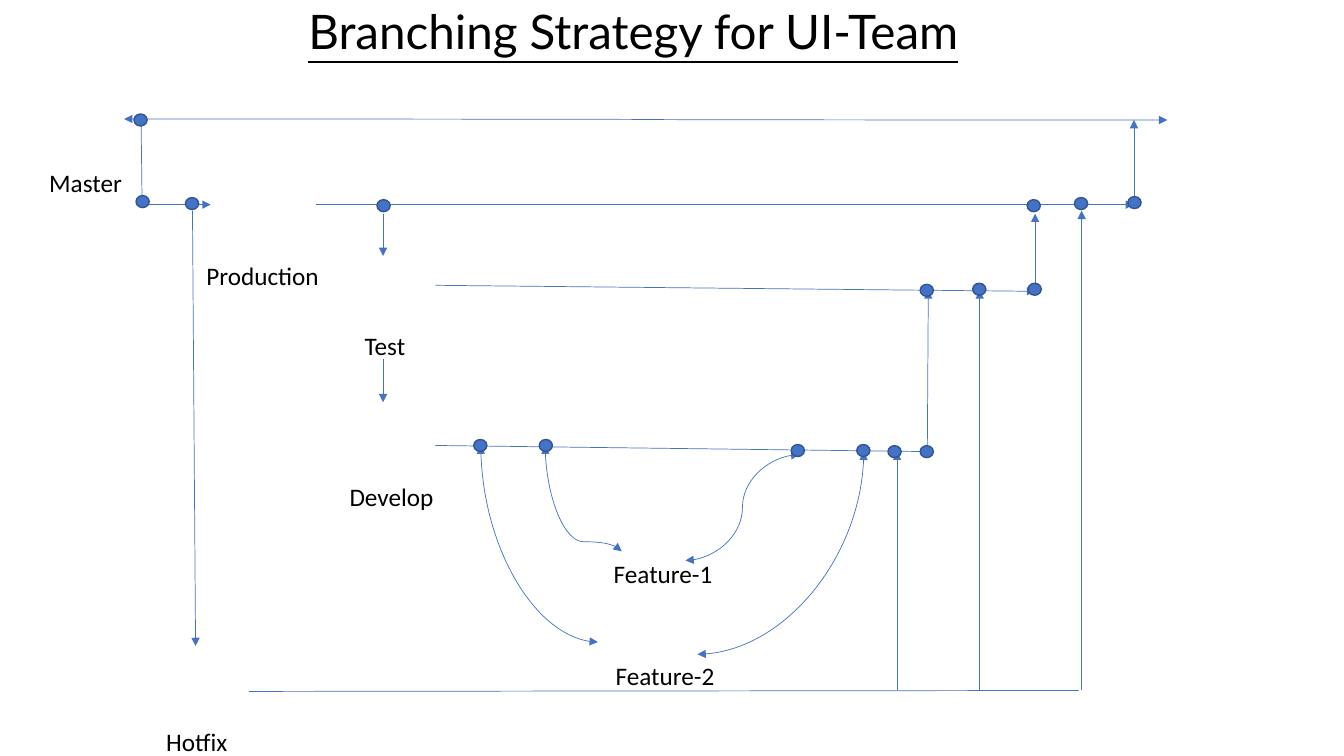
"""Draw the branching strategy of the UI team as a Git flow diagram."""
from dataclasses import dataclass
from math import cos, radians, sin

from lxml import etree
from pptx import Presentation
from pptx.dml.color import RGBColor
from pptx.enum.shapes import MSO_CONNECTOR, MSO_SHAPE
from pptx.enum.text import MSO_ANCHOR, MSO_AUTO_SIZE, PP_ALIGN
from pptx.oxml.ns import qn
from pptx.util import Pt

STRAIGHT, CURVE = MSO_CONNECTOR.STRAIGHT, MSO_CONNECTOR.CURVE
OVAL = MSO_SHAPE.OVAL
TOP, LEFT = MSO_ANCHOR.TOP, PP_ALIGN.LEFT
FIXED, GROW = MSO_AUTO_SIZE.NONE, MSO_AUTO_SIZE.SHAPE_TO_FIT_TEXT
TITLE_ONLY = 5


@dataclass(frozen=True)
class Theme:
    """Colours, fonts and sizes of the slide."""
    flow: RGBColor = RGBColor(0x44, 0x72, 0xC4)
    commit_edge: RGBColor = RGBColor(0x32, 0x54, 0x91)
    ink: RGBColor = RGBColor(0, 0, 0)
    title_font: str = "Lato"
    label_font: str = "Calibri"
    title_size: int = 34
    label_size: int = 18
    flow_width: float = 0.5
    edge_width: float = 1
    commit_width: float = 9.4
    commit_height: float = 8.6


THEME = Theme()
TITLE_FORMAT = {"name": THEME.title_font, "size": Pt(THEME.title_size),
                "underline": True, "bold": False}
LABEL_FORMAT = {"name": THEME.label_font, "size": Pt(THEME.label_size)}

LABELS = [
    ("Master", 28.1, 115.9, 67),
    ("Production", 140.4, 182.2, 95.8),
    ("Test", 253.4, 232.6, 43.9),
    ("Develop", 242.6, 340.6, 74.9),
    ("Feature-1", 431.3, 395.3, 85.7),
    ("Feature-2", 432.7, 468, 85.7),
    ("Hotfix", 111.6, 515.5, 59),
]
LABEL_HEIGHT = 28.8

BRANCHES = [
    ((101.5, 146.2), (150.5, 146.2)),
    ((225.4, 146.2), (810, 146.2)),
    ((311, 203.8), (739.4, 208.1)),
    ((311, 318.2), (664.6, 322.6)),
]
FORKS = [
    ((100.8, 87.1), (101.5, 146.2)),
    ((137.5, 150.5), (139.7, 461.5)),
    ((273.6, 152.6), (273.6, 182.9)),
    ((273.6, 256.3), (273.6, 287.3)),
]
MERGES = [
    ((662.4, 318.2), (663.1, 207.4)),
    ((739.4, 207.4), (739.4, 152.6)),
    ((810, 141.1), (810, 85.7)),
    ((640.8, 493.2), (640.8, 322.6)),
    ((699.8, 493.2), (699.8, 207.4)),
    ((772.6, 493.2), (772.6, 150.5)),
]
MASTER_LINE = ((88.6, 85), (833.8, 85.7))
HOTFIX_LINE = ((177.8, 493.9), (770.4, 493.2))

FEATURE_CURVES = [
    ((343.4, 318.2), (427, 458.6), 270, "curvedConnector2", None),
    ((389.5, 318.2), (444.2, 393.8), 270, "curvedConnector3", 0.91),
    ((571, 324.7), (489.6, 400.3), 180, "curvedConnector3", None),
    ((617, 322.6), (498.2, 467.3), 90, "curvedConnector2", None),
]

COMMITS = [
    (100.4, 85.7), (101.9, 144), (137.2, 145.4),
    (274, 146.9), (738.4, 146.9), (772.2, 145.4), (810.4, 144.7),
    (662, 207.4), (699.5, 206.6), (739.1, 206.6),
    (343.1, 318.2), (389.9, 318.2), (569.9, 321.8),
    (616.7, 321.8), (639, 322.6), (662, 322.6),
]


def write(frame, text, font_format):
    """Write one line of formatted text into a frame."""
    line = frame.paragraphs[0]
    line.text = text
    line.alignment = LEFT
    font = line.runs[0].font
    for attribute, value in font_format.items():
        setattr(font, attribute, value)
    font.color.rgb = THEME.ink


def place_title(slide, text):
    """Move and format the title placeholder."""
    title = slide.shapes.title
    box = {"left": 213.1, "top": -2.2, "width": 481.7, "height": 48.2}
    for side, length in box.items():
        setattr(title, side, Pt(length))
    frame = title.text_frame
    frame.auto_size = FIXED
    frame.vertical_anchor = TOP
    write(frame, text, TITLE_FORMAT)


def add_label(slide, text, left, top, width):
    """Add the name of a branch."""
    label = slide.shapes.add_textbox(Pt(left), Pt(top), Pt(width), Pt(LABEL_HEIGHT))
    label.text_frame.word_wrap = False
    label.text_frame.auto_size = GROW
    write(label.text_frame, text, LABEL_FORMAT)


def add_flow(slide, begin, end, kind=STRAIGHT, arrows=("tailEnd",)):
    """Add a thin connector with the given arrowheads."""
    flow = slide.shapes.add_connector(kind, *map(Pt, (*begin, *end)))
    flow.line.color.rgb = THEME.flow
    flow.line.width = Pt(THEME.flow_width)
    properties = flow._element.spPr
    outline = properties.find(qn("a:ln"))
    for arrow in arrows:
        etree.SubElement(outline, qn(f"a:{arrow}"), type="triangle")
    etree.SubElement(properties, qn("a:effectLst"))
    return flow


def add_curve(slide, begin, end, turn=0, preset="curvedConnector3", bend=None):
    """Add a two-headed curve, turned clockwise about its centre."""
    centre = [(a + b) / 2 for a, b in zip(begin, end)]
    cosine, sine = cos(radians(turn)), sin(radians(turn))

    def unturned(point):
        """Rotate a point back about the centre."""
        x, y = point[0] - centre[0], point[1] - centre[1]
        return (centre[0] + x * cosine + y * sine,
                centre[1] - x * sine + y * cosine)

    curve = add_flow(slide, unturned(begin), unturned(end), CURVE,
                     ("headEnd", "tailEnd"))
    properties = curve._element.spPr
    properties.find(qn("a:xfrm")).set("rot", str(turn * 60000))
    geometry = properties.find(qn("a:prstGeom"))
    geometry.set("prst", preset)
    if bend is not None:
        etree.SubElement(geometry.find(qn("a:avLst")), qn("a:gd"),
                         name="adj1", fmla=f"val {round(bend * 100000)}")


def add_commit(slide, x, y):
    """Add a commit dot centred on a point."""
    width, height = THEME.commit_width, THEME.commit_height
    commit = slide.shapes.add_shape(OVAL, Pt(x - width / 2), Pt(y - height / 2),
                                    Pt(width), Pt(height))
    commit.shadow.inherit = False
    commit.fill.solid()
    commit.fill.fore_color.rgb = THEME.flow
    commit.line.color.rgb = THEME.commit_edge
    commit.line.width = Pt(THEME.edge_width)


def main():
    """Build the slide and save it."""
    deck = Presentation()
    deck.slide_width, deck.slide_height = Pt(960), Pt(540)
    slide = deck.slides.add_slide(deck.slide_layouts[TITLE_ONLY])
    place_title(slide, "Branching Strategy for UI-Team")
    add_curve(slide, *MASTER_LINE)
    for begin, end in BRANCHES + FORKS + MERGES:
        add_flow(slide, begin, end)
    add_flow(slide, *HOTFIX_LINE, arrows=())
    for feature in FEATURE_CURVES:
        add_curve(slide, *feature)
    for commit in COMMITS:
        add_commit(slide, *commit)
    for label in LABELS:
        add_label(slide, *label)
    deck.save("out.pptx")


if __name__ == "__main__":
    main()
